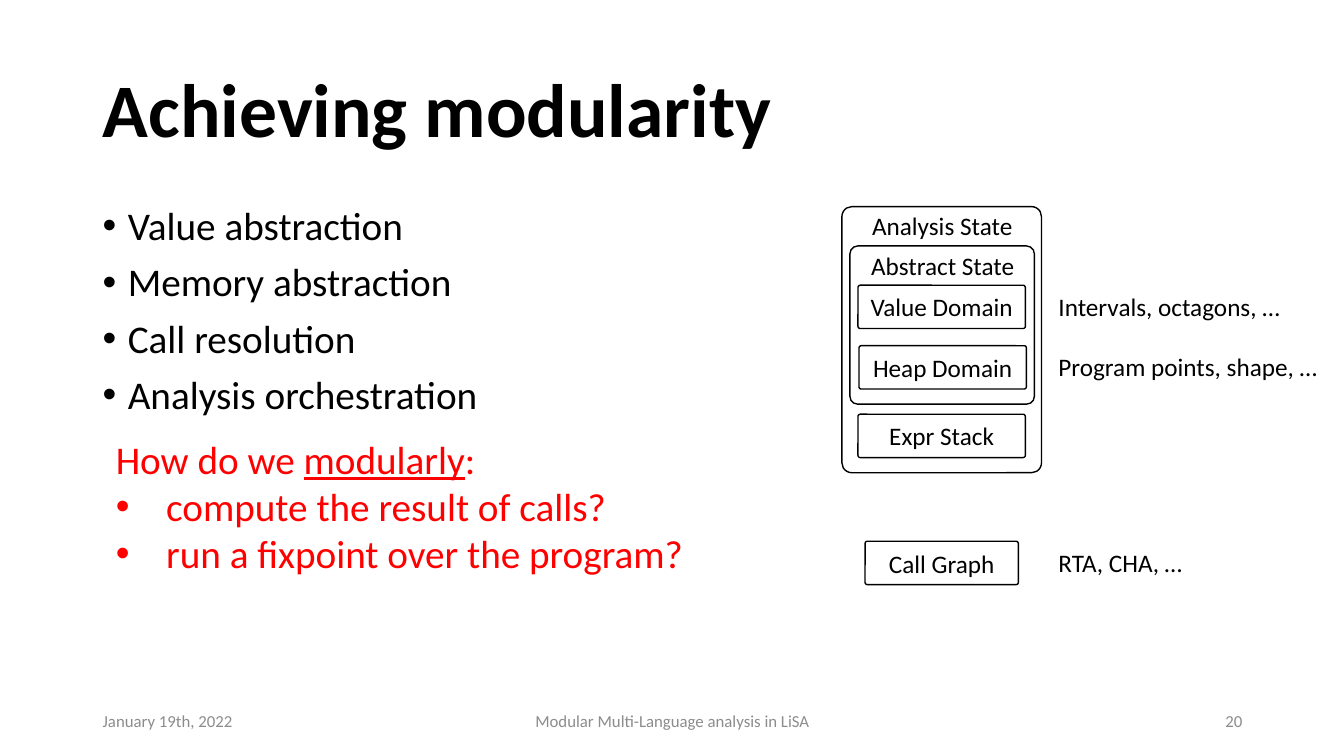
from lxml.etree import SubElement
from pptx import Presentation
from pptx.dml.color import RGBColor
from pptx.enum.shapes import MSO_SHAPE
from pptx.enum.text import MSO_ANCHOR, MSO_AUTO_SIZE, PP_ALIGN
from pptx.oxml.ns import qn
from pptx.util import Inches, Pt

BLACK, WHITE, RED, GRAY = "000000", "FFFFFF", "FF0000", "8C8C8C"


def color(hex_code):
    return RGBColor.from_string(hex_code)


class SlideBuilder:
    font_name = "Calibri"
    label_size = 18
    body_size = 28

    def __init__(self, presentation):
        self.slide = presentation.slides.add_slide(presentation.slide_layouts[5])

    def add_run(self, paragraph, text, size, hex_code=BLACK, bold=False, underline=False):
        run = paragraph.add_run()
        run.text = text
        run.font.name = self.font_name
        run.font.size = Pt(size)
        run.font.bold = bold
        run.font.underline = underline
        run.font.color.rgb = color(hex_code)

    def add_bullet(self, paragraph, indent):
        """Give the paragraph a bullet hanging by indent inches."""
        properties = paragraph._p.get_or_add_pPr()
        properties.set("marL", str(Inches(indent)))
        properties.set("indent", str(-Inches(indent)))
        SubElement(properties, qn("a:buFont"), typeface="Arial")
        SubElement(properties, qn("a:buChar"), char="•")

    def title(self, text, left, top, width, height):
        heading = self.slide.shapes.title
        heading.left, heading.top = Inches(left), Inches(top)
        heading.width, heading.height = Inches(width), Inches(height)
        frame = heading.text_frame
        frame.word_wrap = True
        frame.auto_size = MSO_AUTO_SIZE.NONE
        frame.vertical_anchor = MSO_ANCHOR.MIDDLE
        paragraph = frame.paragraphs[0]
        paragraph.alignment = PP_ALIGN.LEFT
        paragraph.line_spacing = 0.9
        self.add_run(paragraph, text, 54, bold=True)

    def text_frame(self, left, top, width, height, anchor=MSO_ANCHOR.TOP):
        area = self.slide.shapes.add_textbox(
            Inches(left), Inches(top), Inches(width), Inches(height))
        area.text_frame.word_wrap = True
        area.text_frame.vertical_anchor = anchor
        return area.text_frame

    def label(self, text, left, top, width, align=PP_ALIGN.LEFT,
              size=label_size, hex_code=BLACK, anchor=MSO_ANCHOR.TOP):
        paragraph = self.text_frame(left, top, width, 0.4, anchor).paragraphs[0]
        paragraph.alignment = align
        self.add_run(paragraph, text, size, hex_code)

    def topics(self, items, left, top, width, height):
        frame = self.text_frame(left, top, width, height)
        for index, item in enumerate(items):
            paragraph = frame.add_paragraph() if index else frame.paragraphs[0]
            self.add_bullet(paragraph, 0.25)
            paragraph.line_spacing = 0.9
            if index:
                paragraph.space_before = Pt(10)
            self.add_run(paragraph, item, self.body_size)

    def question(self, lead, endings, left, top, width, height):
        """Place a lead line, given as (text, underlined) parts, above bulleted endings."""
        frame = self.text_frame(left, top, width, height)
        for part, underlined in lead:
            self.add_run(frame.paragraphs[0], part, self.body_size, RED, underline=underlined)
        for ending in endings:
            paragraph = frame.add_paragraph()
            self.add_bullet(paragraph, 0.5)
            self.add_run(paragraph, ending, self.body_size, RED)

    def box(self, left, top, width, height, text=""):
        component = self.slide.shapes.add_shape(
            MSO_SHAPE.ROUNDED_RECTANGLE,
            Inches(left), Inches(top), Inches(width), Inches(height))
        component.adjustments[0] = 0.05
        component.shadow.inherit = False
        component.fill.solid()
        component.fill.fore_color.rgb = color(WHITE)
        component.line.color.rgb = color(BLACK)
        component.line.width = Pt(1)
        if text:
            frame = component.text_frame
            frame.word_wrap = True
            frame.vertical_anchor = MSO_ANCHOR.MIDDLE
            frame.paragraphs[0].alignment = PP_ALIGN.CENTER
            self.add_run(frame.paragraphs[0], text, self.label_size)


def main():
    presentation = Presentation()
    presentation.slide_width = Inches(13.33)
    presentation.slide_height = Inches(7.5)
    builder = SlideBuilder(presentation)

    builder.title("Achieving modularity", 0.92, 0.4, 11.5, 1.45)
    builder.topics(
        ["Value abstraction", "Memory abstraction", "Call resolution", "Analysis orchestration"],
        0.92, 2, 11.5, 4.76)
    builder.question(
        [("How do we ", False), ("modularly", True), (":", False)],
        ["compute the result of calls?", "run a fixpoint over the program?"],
        1.05, 4.27, 6.38, 1.51)

    states = [
        ("Analysis State", 8.35, 2.05, 1.98, 2.64),
        ("Abstract State", 8.43, 2.44, 1.83, 1.57),
    ]
    for name, left, top, width, height in states:
        builder.box(left, top, width, height)
        builder.label(name, left + 0.04, top - 0.01, width - 0.07, PP_ALIGN.CENTER)

    components = [
        ("Value Domain", 8.51, 2.83, 1.66, "Intervals, octagons, …"),
        ("Heap Domain", 8.52, 3.43, 1.66, "Program points, shape, …"),
        ("Expr Stack", 8.51, 4.11, 1.66, ""),
        ("Call Graph", 8.58, 5.37, 1.52, "RTA, CHA, …"),
    ]
    for name, left, top, width, examples in components:
        builder.box(left, top, width, 0.43, name)
        if examples:
            builder.label(examples, 10.4, top + 0.01, 2.8)

    footers = [
        ("January 19th, 2022", 0.92, 3, PP_ALIGN.LEFT),
        ("Modular Multi-Language analysis in LiSA", 4.42, 4.5, PP_ALIGN.CENTER),
        ("20", 9.42, 3, PP_ALIGN.RIGHT),
    ]
    for text, left, width, align in footers:
        builder.label(text, left, 6.95, width, align, 12, GRAY, MSO_ANCHOR.MIDDLE)

    presentation.save("out.pptx")


if __name__ == "__main__":
    main()
